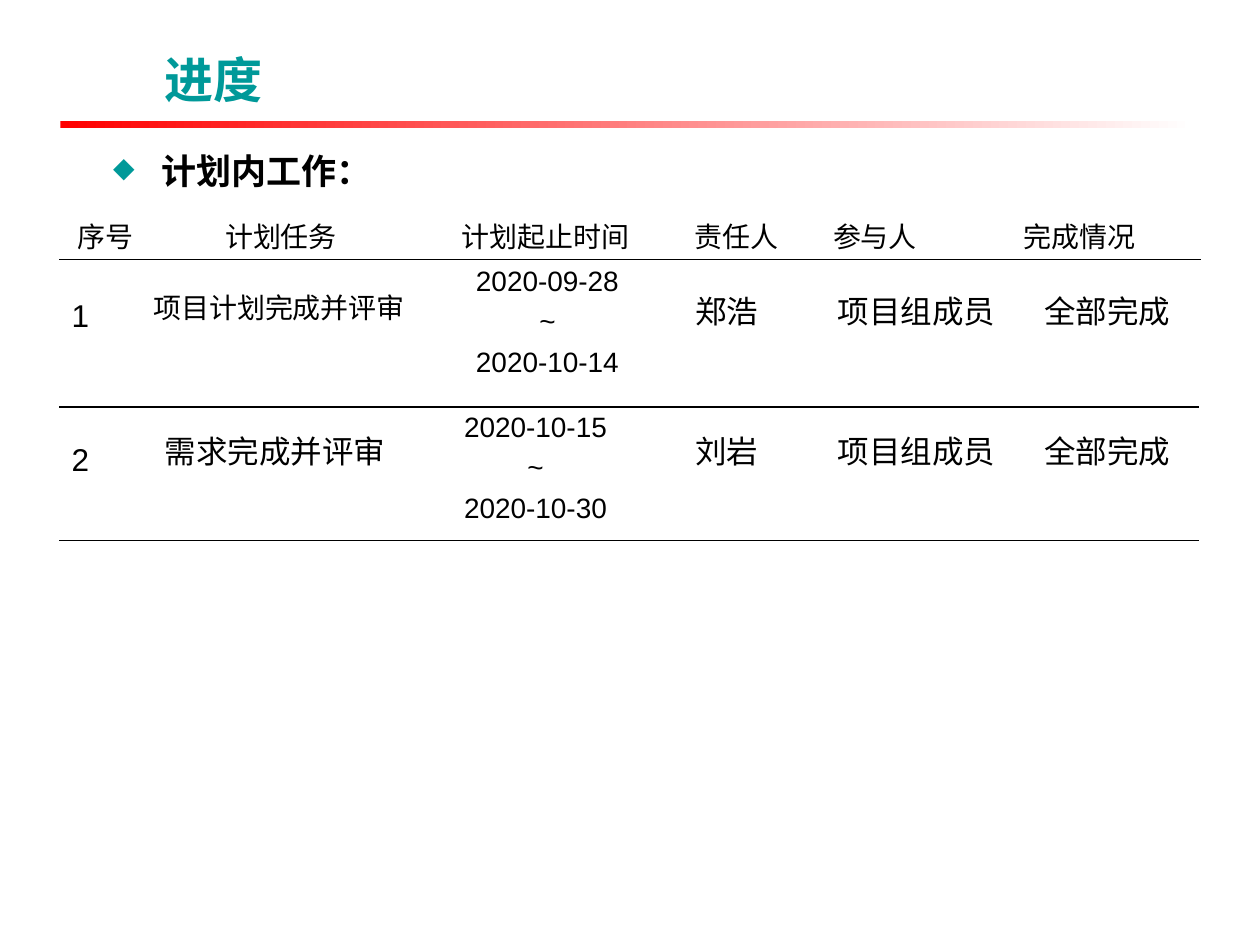
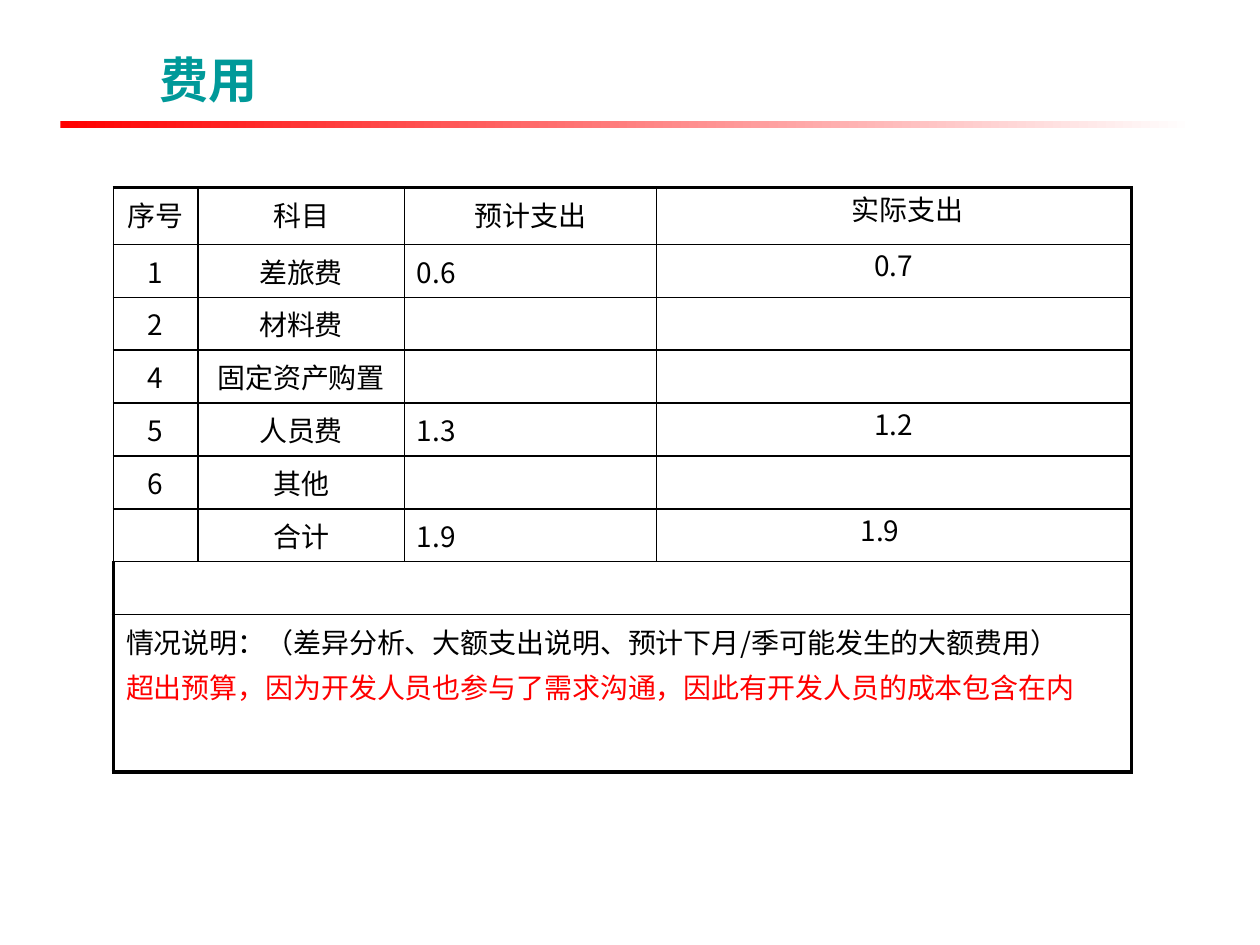
from dataclasses import dataclass
from typing import Iterable, NamedTuple

from lxml.etree import SubElement
from pptx import Presentation
from pptx.dml.color import RGBColor
from pptx.enum.shapes import MSO_CONNECTOR, MSO_SHAPE
from pptx.enum.text import MSO_ANCHOR, PP_ALIGN
from pptx.oxml.ns import qn
from pptx.shapes.autoshape import Shape
from pptx.slide import Slide
from pptx.table import Table, _Cell
from pptx.text.text import TextFrame, _Paragraph
from pptx.util import Emu, Pt

EMU_PER_PX = 9144  # 100 px to the inch
COLORS = {"text": "000000", "accent": "009999", "red": "FF0000", "white": "FFFFFF"}
LATIN_FONT = "Arial"
TABLE_FONT = "Noto Sans CJK SC"
THIN, HEAVY = 1, 2.25


class Box(NamedTuple):
    left: int
    top: int
    width: int
    height: int


@dataclass(frozen=True)
class TextStyle:
    size: int
    font: str = LATIN_FONT
    color: str = "text"
    bold: bool = False
    align: PP_ALIGN = PP_ALIGN.LEFT
    gap: int = 0


@dataclass(frozen=True)
class Label:
    box: Box
    lines: tuple[str, ...]
    style: TextStyle


class Borders(NamedTuple):
    """Widths in points; zero leaves a side without a line."""
    left: float = 0
    right: float = 0
    top: float = 0
    bottom: float = 0


TITLE = TextStyle(28, color="accent", bold=True)
HEADING = TextStyle(20, bold=True)
TASK = TextStyle(18)
LONG_TASK = TextStyle(16)
DATES = TextStyle(16, align=PP_ALIGN.CENTER, gap=4)
CENTERED_CELL = TextStyle(16, TABLE_FONT, align=PP_ALIGN.CENTER)
LEFT_CELL = TextStyle(16, TABLE_FONT)
REMARK = TextStyle(16, TABLE_FONT, color="red", gap=3)


def px(value: int) -> Emu:
    return Emu(value * EMU_PER_PX)


def rgb(name: str) -> RGBColor:
    return RGBColor.from_string(COLORS[name])


def write_line(paragraph: _Paragraph, text: str, style: TextStyle) -> None:
    paragraph.alignment = style.align
    run = paragraph.add_run()
    run.text = text
    run.font.size = Pt(style.size)
    run.font.bold = style.bold
    run.font.color.rgb = rgb(style.color)
    run.font.name = style.font
    SubElement(run.font._element, qn("a:ea"), typeface=style.font)


def write_lines(frame: TextFrame, lines: Iterable[str], style: TextStyle) -> None:
    for index, text in enumerate(lines):
        paragraph = frame.add_paragraph() if index else frame.paragraphs[0]
        if index:
            paragraph.space_before = Pt(style.gap)
        write_line(paragraph, text, style)


def add_label(slide: Slide, label: Label) -> Shape:
    shape = slide.shapes.add_textbox(*map(px, label.box))
    shape.text_frame.word_wrap = True
    write_lines(shape.text_frame, label.lines, label.style)
    return shape


def add_diamond_bullet(paragraph: _Paragraph, indent: int) -> None:
    properties = paragraph._p.get_or_add_pPr()
    properties.set("marL", str(px(indent)))
    properties.set("indent", str(-px(indent)))
    color = SubElement(properties, qn("a:buClr"))
    SubElement(color, qn("a:srgbClr"), val=COLORS["accent"])
    SubElement(properties, qn("a:buSzPct"), val="80000")
    SubElement(properties, qn("a:buChar"), char="◆")


def add_rule(slide: Slide, left: int, right: int, y: int) -> None:
    connector = slide.shapes.add_connector(
        MSO_CONNECTOR.STRAIGHT, px(left), px(y), px(right), px(y))
    connector.line.color.rgb = rgb("text")
    connector.line.width = Pt(0.75)
    SubElement(connector._element.spPr, qn("a:effectLst"))


def add_titled_slide(presentation: Presentation, title: str, left: int) -> Slide:
    """Add a blank slide with the shared title and fading red band."""
    slide = presentation.slides.add_slide(presentation.slide_layouts[6])
    band = slide.shapes.add_shape(MSO_SHAPE.RECTANGLE, *map(px, Box(48, 96, 900, 6)))
    band.shadow.inherit = False
    band.line.fill.background()
    band.fill.gradient()
    band.fill.gradient_angle = 0
    for stop, color in zip(band.fill.gradient_stops, ("red", "white")):
        stop.color.rgb = rgb(color)
    heading = add_label(slide, Label(Box(left, 28, 835, 63), (title,), TITLE))
    heading.text_frame.vertical_anchor = MSO_ANCHOR.BOTTOM
    return slide


def set_borders(cell: _Cell, borders: Borders) -> None:
    properties = cell._tc.get_or_add_tcPr()
    for tag, width in zip(("a:lnL", "a:lnR", "a:lnT", "a:lnB"), borders):
        line = SubElement(properties, qn(tag), w=str(Pt(width)))
        if width:
            fill = SubElement(line, qn("a:solidFill"))
            SubElement(fill, qn("a:srgbClr"), val=COLORS["text"])
        else:
            SubElement(line, qn("a:noFill"))
    cell.fill.background()


def add_grid(slide: Slide, left: int, top: int, widths: list[int], heights: list[int]) -> Table:
    box = Box(left, top, sum(widths), sum(heights))
    table = slide.shapes.add_table(len(heights), len(widths), *map(px, box)).table
    table.first_row = table.horz_banding = False
    for column, width in zip(table.columns, widths):
        column.width = px(width)
    for row, height in zip(table.rows, heights):
        row.height = px(height)
    return table


def build_schedule(presentation: Presentation) -> None:
    slide = add_titled_slide(presentation, "进度", 121)
    heading = add_label(slide, Label(Box(80, 114, 878, 45), ("计划内工作：",), HEADING))
    add_diamond_bullet(heading.text_frame.paragraphs[0], 38)

    headers = ("序号", "计划任务", "计划起止时间", "责任人", "参与人", "完成情况")
    table = add_grid(slide, 47, 166, [74, 204, 216, 87, 133, 192], [40])
    for cell, header in zip(table.rows[0].cells, headers):
        write_lines(cell.text_frame, (header,), CENTERED_CELL)
        set_borders(cell, Borders(bottom=THIN))

    labels = [
        Label(Box(112, 226, 223, 37), ("项目计划完成并评审",), LONG_TASK),
        Label(Box(121, 338, 200, 40), ("需求完成并评审",), TASK),
        Label(Box(316, 204, 237, 106), ("2020-09-28", "~", "2020-10-14"), DATES),
        Label(Box(313, 320, 224, 102), ("2020-10-15", "~", "2020-10-30"), DATES),
    ]
    for number, owner, number_top, top in (("1", "郑浩", 230, 227), ("2", "刘岩", 344, 338)):
        labels += [
            Label(Box(47, number_top, 66, 40), (number,), TASK),
            Label(Box(542, top, 112, 40), (owner,), TASK),
            Label(Box(655, top, 150, 40), ("项目组成员",), TASK),
            Label(Box(819, top, 123, 40), ("全部完成",), TASK),
        ]
    for label in labels:
        add_label(slide, label)
    for y in (323, 429):
        add_rule(slide, 47, 952, y)


def build_costs(presentation: Presentation) -> None:
    slide = add_titled_slide(presentation, "费用", 117)
    costs = (
        ("序号", "科目", "预计支出", "　实际支出"),
        ("1", "差旅费", "0.6", "0.7"),
        ("2", "材料费", "", ""),
        ("4", "固定资产购置", "", ""),
        ("5", "人员费", "1.3", "1.2"),
        ("6", "其他", "", ""),
        ("", "合计", "1.9", "1.9　"),
    )
    widths = [67, 164, 200, 377]
    heights = [45] + [42] * 7 + [125]
    table = add_grid(slide, 90, 149, widths, heights)
    last_row, last_column = len(heights) - 1, len(widths) - 1

    for row in range(len(heights)):
        merged = row >= len(costs)
        for column in range(len(widths)):
            set_borders(table.cell(row, column), Borders(
                left=HEAVY if merged else THIN,
                right=HEAVY if merged or column == last_column else THIN,
                top=HEAVY if row == 0 else THIN,
                bottom=HEAVY if row == last_row else THIN))
        if merged:
            table.cell(row, 0).merge(table.cell(row, last_column))

    for row, values in enumerate(costs):
        for column, text in enumerate(values):
            if not text:
                continue
            cell = table.cell(row, column)
            is_estimate = row > 0 and column == 2
            write_lines(cell.text_frame, (text,), LEFT_CELL if is_estimate else CENTERED_CELL)
            if column == last_column:
                cell.margin_left = cell.margin_right = 0
                cell.margin_top = cell.margin_bottom = 0

    notes = table.cell(last_row, 0).text_frame
    write_lines(notes, ("情况说明：（差异分析、大额支出说明、预计下月/季可能发生的大额费用）",), LEFT_CELL)
    remark = notes.add_paragraph()
    remark.space_before = Pt(REMARK.gap)
    write_line(remark, "超出预算，因为开发人员也参与了需求沟通，因此有开发人员的成本包含在内", REMARK)


def main() -> None:
    presentation = Presentation()
    presentation.slide_width, presentation.slide_height = px(1000), px(750)
    build_schedule(presentation)
    build_costs(presentation)
    presentation.save("out.pptx")


if __name__ == "__main__":
    main()
